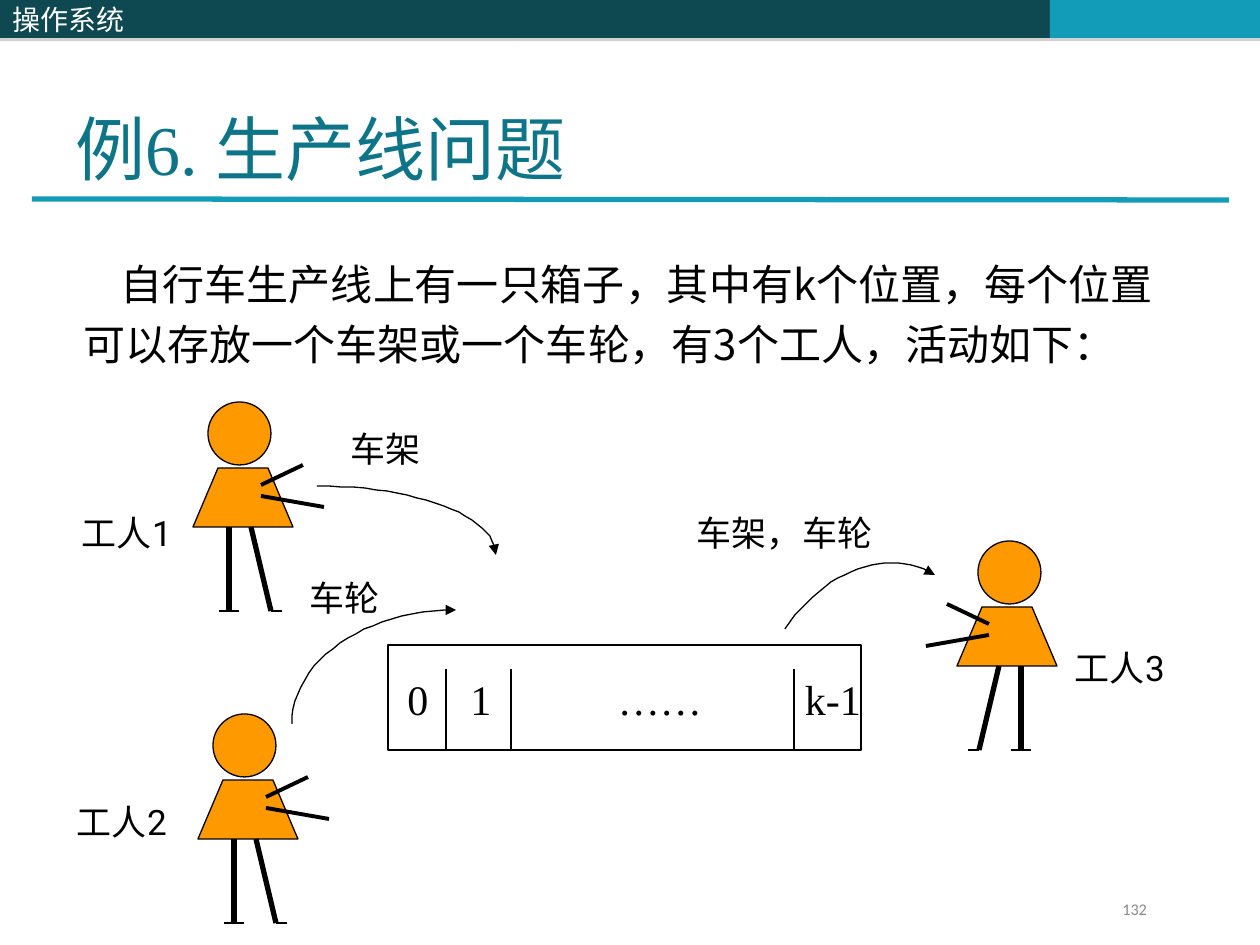
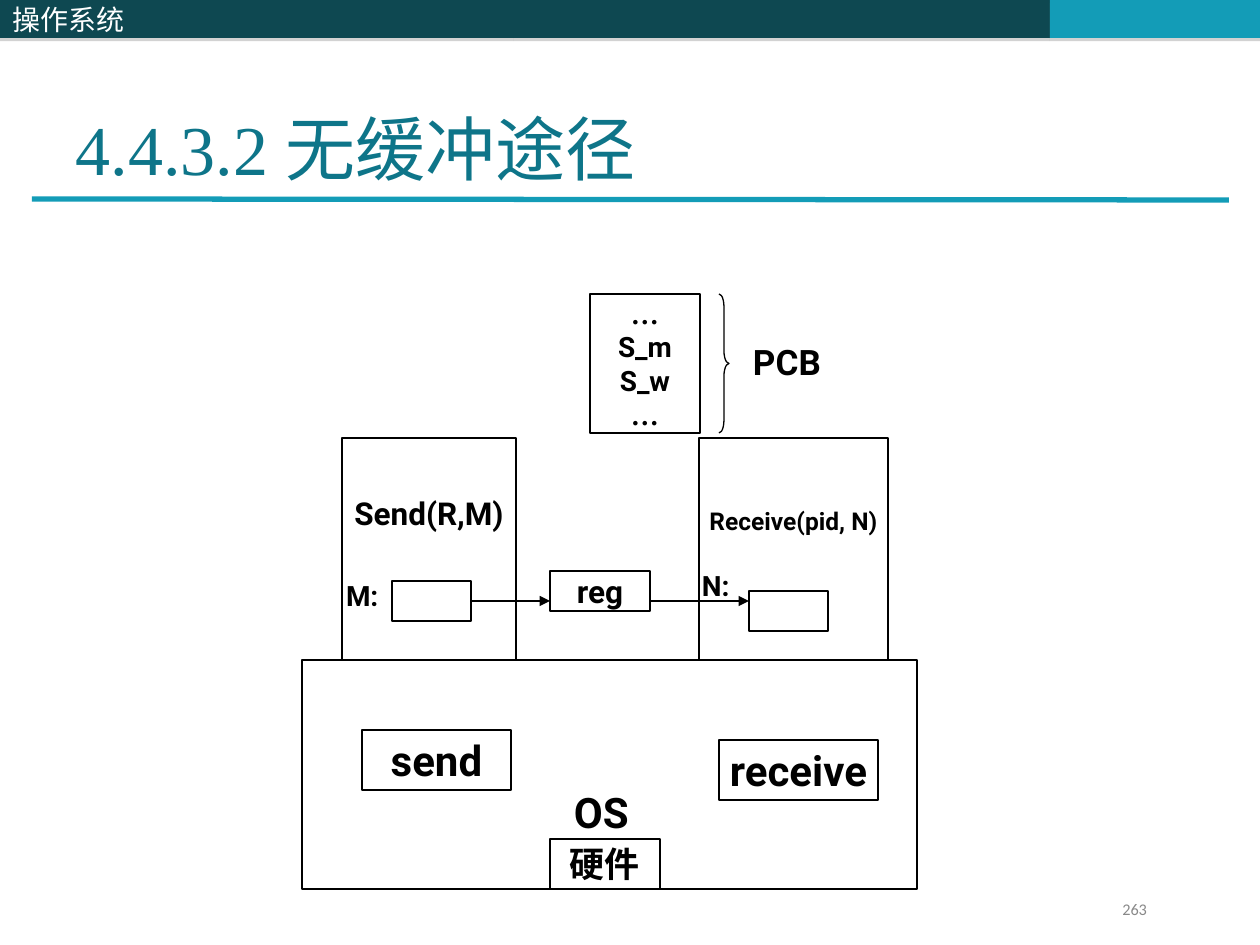
"""Build two operating-systems slides: a production line and unbuffered messaging."""
import dataclasses

import lxml.etree
import pptx
import pptx.dml.color
import pptx.enum.shapes
import pptx.enum.text
import pptx.oxml.ns
import pptx.util

PX = 7257
KIND = pptx.enum.shapes.MSO_SHAPE
LINK = pptx.enum.shapes.MSO_CONNECTOR.STRAIGHT
SIDE = pptx.enum.text.PP_ALIGN
RGB = pptx.dml.color.RGBColor.from_string
qn = pptx.oxml.ns.qn


@dataclasses.dataclass
class Theme:
    dark: str = "0E4851"
    teal: str = "139CB7"
    head: str = "0E7589"
    skin: str = "FF9900"
    ink: str = "000000"
    paper: str = "FFFFFF"
    gray: str = "898989"
    shade: str = "808080"
    serif: str = "Times New Roman"
    sans: str = "Roboto"
    han: str = "Noto Sans CJK SC"
    foot: str = "Calibri"
    title: int = 40
    big: int = 24
    label: int = 20
    mid: int = 18
    small: int = 16
    tiny: int = 14
    page: float = 9.3
    thin: float = 0.75
    edge: float = 1.25
    arm: float = 2.25
    thick: int = 3


T = Theme()


def pen(shape, width, color=T.ink, fill=None, arrow=False):
    """Set the line, fill and arrowhead of a shape and drop its shadow."""
    if width:
        shape.line.color.rgb = RGB(color)
        shape.line.width = pptx.util.Pt(width)
    else:
        shape.line.fill.background()
    if fill:
        shape.fill.solid()
        shape.fill.fore_color.rgb = RGB(fill)
    elif hasattr(shape, "fill"):
        shape.fill.background()
    props = shape.element.spPr
    if arrow:
        lxml.etree.SubElement(props.find(qn("a:ln")), qn("a:tailEnd"), type="triangle")
    return lxml.etree.SubElement(props, qn("a:effectLst"))


def write(shape, text, size, face=T.sans, color=T.ink, bold=False,
          align=SIDE.LEFT, anchor=pptx.enum.text.MSO_ANCHOR.MIDDLE, low=6):
    """Put formatted lines of text into a shape."""
    frame = shape.text_frame
    side = 0 if align == SIDE.CENTER else 13 * PX
    look = {
        "auto_size": pptx.enum.text.MSO_AUTO_SIZE.NONE, "word_wrap": True,
        "vertical_anchor": anchor, "margin_left": side,
        "margin_right": side if align == SIDE.RIGHT else 0,
        "margin_top": 6 * PX, "margin_bottom": low * PX,
    }
    for name, value in look.items():
        setattr(frame, name, value)
    frame.text = text
    for para in frame.paragraphs:
        para.alignment = align
        run = para.runs[0]
        font = {"size": pptx.util.Pt(size), "bold": bold,
                "name": T.serif if run.text == "…" else face}
        for name, value in font.items():
            setattr(run.font, name, value)
        run.font.color.rgb = RGB(color)
        if max(run.text) >= "一":
            lxml.etree.SubElement(run.font._element, qn("a:ea"), typeface=T.han)
    return frame.paragraphs[0]


deck = pptx.Presentation()
deck.slide_width = pptx.util.Inches(10)
deck.slide_height = pptx.util.Inches(7.5)

pages = []
for name, number in (("例6. 生产线问题", "132"), ("4.4.3.2 无缓冲途径", "263")):
    slide = deck.slides.add_slide(deck.slide_layouts[5])
    shapes = slide.shapes
    pages.append(shapes)
    for left, right, fill in ((514, 1050, T.dark), (1050, 1260, T.teal), (0, 514, T.dark)):
        band = shapes.add_shape(KIND.RECTANGLE, left * PX, 0, (right - left) * PX, 38 * PX)
        glow = lxml.etree.SubElement(
            pen(band, 0, fill=fill), qn("a:outerShdw"),
            blurRad="0", dist="22860", dir="5400000", rotWithShape="0")
        tone = lxml.etree.SubElement(glow, qn("a:srgbClr"), val=T.shade)
        lxml.etree.SubElement(tone, qn("a:alpha"), val="35000")
    write(band, "操作系统", T.small, T.han, T.paper)
    rule = shapes.add_connector(LINK, 32 * PX, 199 * PX, 1229 * PX, 200 * PX)
    pen(rule, T.thick, T.teal)
    title = shapes.title
    for side, value in {"left": 63, "top": 38, "width": 1134, "height": 158}.items():
        setattr(title, side, value * PX)
    write(title, name, T.title, T.serif, T.head, anchor=pptx.enum.text.MSO_ANCHOR.BOTTOM)
    note = shapes.add_textbox(945 * PX, 895 * PX, 215 * PX, 28 * PX)
    write(note, number, T.page, T.foot, T.gray, align=SIDE.RIGHT)

line, mail = pages

intro = line.add_textbox(*(n * PX for n in (71, 242, 1121, 134)))
para = write(intro, "自行车生产线上有一只箱子，其中有k个位置，每个位置可以存放一个车架或一个车轮，"
             "有3个工人，活动如下：", T.big, T.han)
para.line_spacing = pptx.util.Pt(34)
para._p.get_or_add_pPr().set("indent", str(37 * PX))

crate = line.add_shape(KIND.RECTANGLE, *(n * PX for n in (388, 645, 473, 105)))
pen(crate, T.thin)
for x in (446, 511, 794):
    pen(line.add_connector(LINK, x * PX, 669 * PX, x * PX, 749 * PX), T.thin)
for text, x in (("0", 418), ("1", 481), ("……", 660), ("k-1", 833)):
    cell = line.add_textbox((x - 50) * PX, 670 * PX, 100 * PX, 58 * PX)
    write(cell, text, T.big, T.serif, align=SIDE.CENTER)

limbs = (
    (36, 125, 36, 209, T.thick), (58, 125, 78, 209, T.thick),
    (68, 94, 131, 105, T.arm), (68, 83, 110, 63, T.arm),
    (26, 209, 46, 209, T.thin), (78, 209, 89, 209, T.thin),
)
for x, y, way in ((193, 402, 1), (198, 714, 1), (1057, 541, -1)):
    man = line.add_group_shape().shapes
    head = man.add_shape(KIND.OVAL, (x + way * 47 - 32) * PX, y * PX, 63 * PX, 63 * PX)
    pen(head, T.thin, fill=T.skin)
    coat = man.build_freeform(x, y + 125, scale=PX)
    coat.add_line_segments([(x + way * dx, y + dy) for dx, dy in ((25, 66), (75, 66), (100, 125))])
    pen(coat.convert_to_shape(), T.thin, fill=T.skin)
    for ax, ay, bx, by, width in limbs:
        ends = (x + way * ax, y + ay, x + way * bx, y + by)
        pen(man.add_connector(LINK, *(n * PX for n in ends)), width)

for a, b, c, d in (
    ((317, 486), (416, 486), (496, 516), (496, 555)),
    ((292, 724), (292, 661), (365, 610), (456, 610)),
    ((785, 629), (824, 570), (891, 546), (935, 575)),
):
    spots = []
    for step in range(1, 25):
        t = step / 24
        u = 1 - t
        spots.append([u**3 * p + 3 * u * u * t * q + 3 * u * t * t * r + t**3 * s
                      for p, q, r, s in zip(a, b, c, d)])
    bend = line.build_freeform(*a, scale=PX)
    bend.add_line_segments(spots, close=False)
    pen(bend.convert_to_shape(), T.thin, arrow=True)

for text, x, y, wide in (
    ("车架", 338, 421, 100), ("车轮", 297, 570, 100), ("车架，车轮", 684, 505, 203),
    ("工人1", 69, 505, 128), ("工人2", 64, 794, 128), ("工人3", 1062, 640, 128),
):
    write(line.add_textbox(x * PX, y * PX, wide * PX, 55 * PX), text, T.label)

for box, text, size, width, low in (
    ((302, 660, 615, 229), "", 0, T.edge, 6),
    ((342, 438, 174, 222), "Send(R,M)", T.mid, T.edge, 78),
    ((699, 438, 189, 222), "Receive(pid, N)", T.tiny, T.edge, 62),
    ((392, 581, 79, 40), "", 0, T.edge, 6),
    ((749, 591, 79, 40), "", 0, T.edge, 6),
    ((550, 571, 100, 40), "reg", T.mid, T.edge, 6),
    ((362, 730, 149, 60), "send", T.big, T.edge, 6),
    ((719, 740, 159, 60), "receive", T.big, T.edge, 6),
    ((590, 294, 110, 139), "…\nS_m\nS_w\n…", T.small, T.edge, 6),
    ((550, 839, 110, 50), "硬件", T.label, T.thin, 6),
):
    block = mail.add_shape(KIND.RECTANGLE, *(n * PX for n in box))
    pen(block, width, fill=T.paper)
    if text:
        write(block, text, size, bold=True, align=SIDE.CENTER, low=low)

for text, box, size in (
    ("M:", (333, 572, 59, 47), T.small), ("N:", (689, 562, 59, 47), T.small),
    ("PCB", (740, 334, 110, 55), T.label), ("OS", (561, 780, 110, 63), T.big),
):
    write(mail.add_textbox(*(n * PX for n in box)), text, size, bold=True)

for start, end in ((471, 550), (650, 749)):
    pen(mail.add_connector(LINK, start * PX, 601 * PX, end * PX, 601 * PX), T.thin, arrow=True)

brace = mail.add_shape(KIND.RIGHT_BRACE, *(n * PX for n in (719, 294, 10, 139)))
brace.adjustments[0] = 1.25
pen(brace, T.thin)

deck.save("out.pptx")
